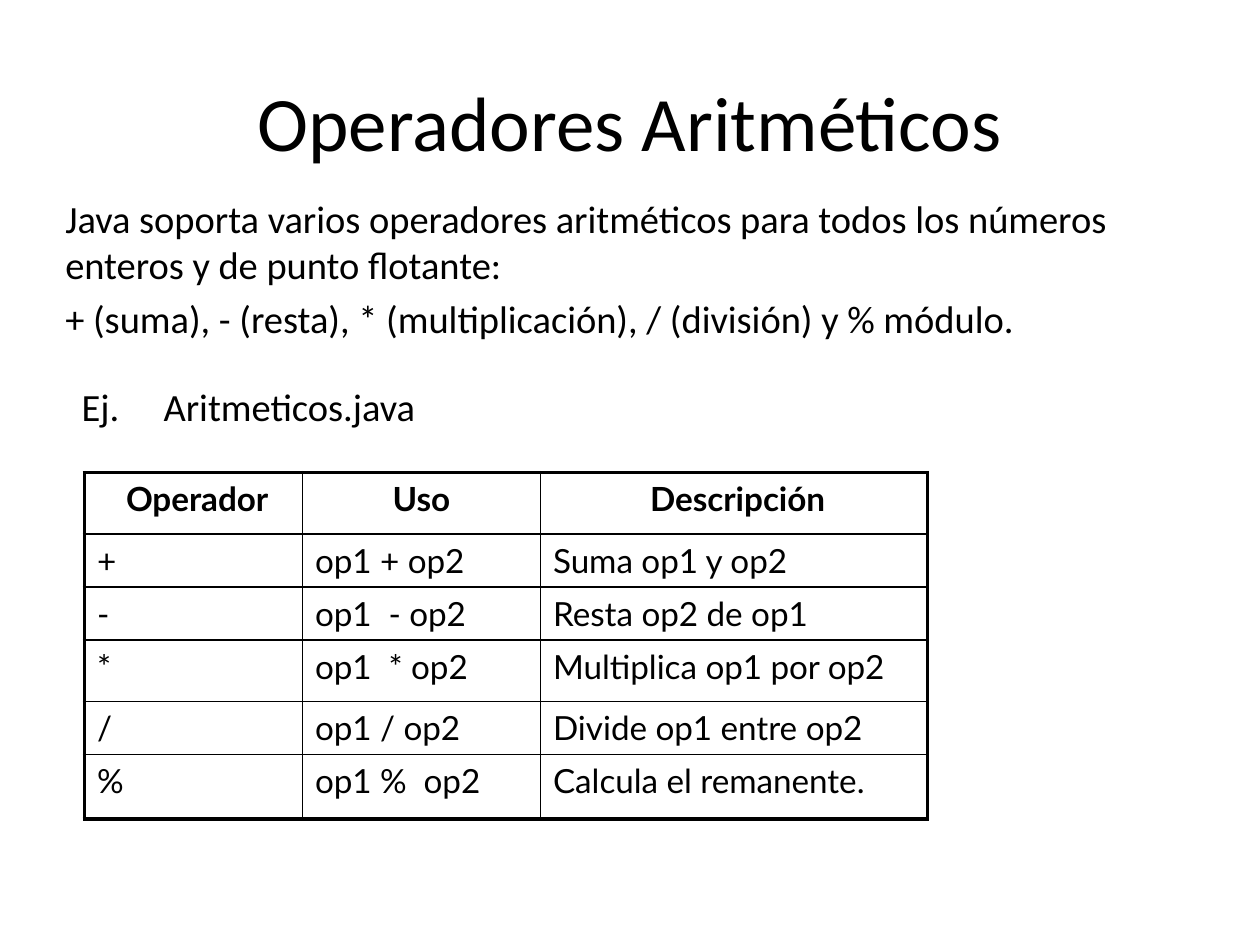
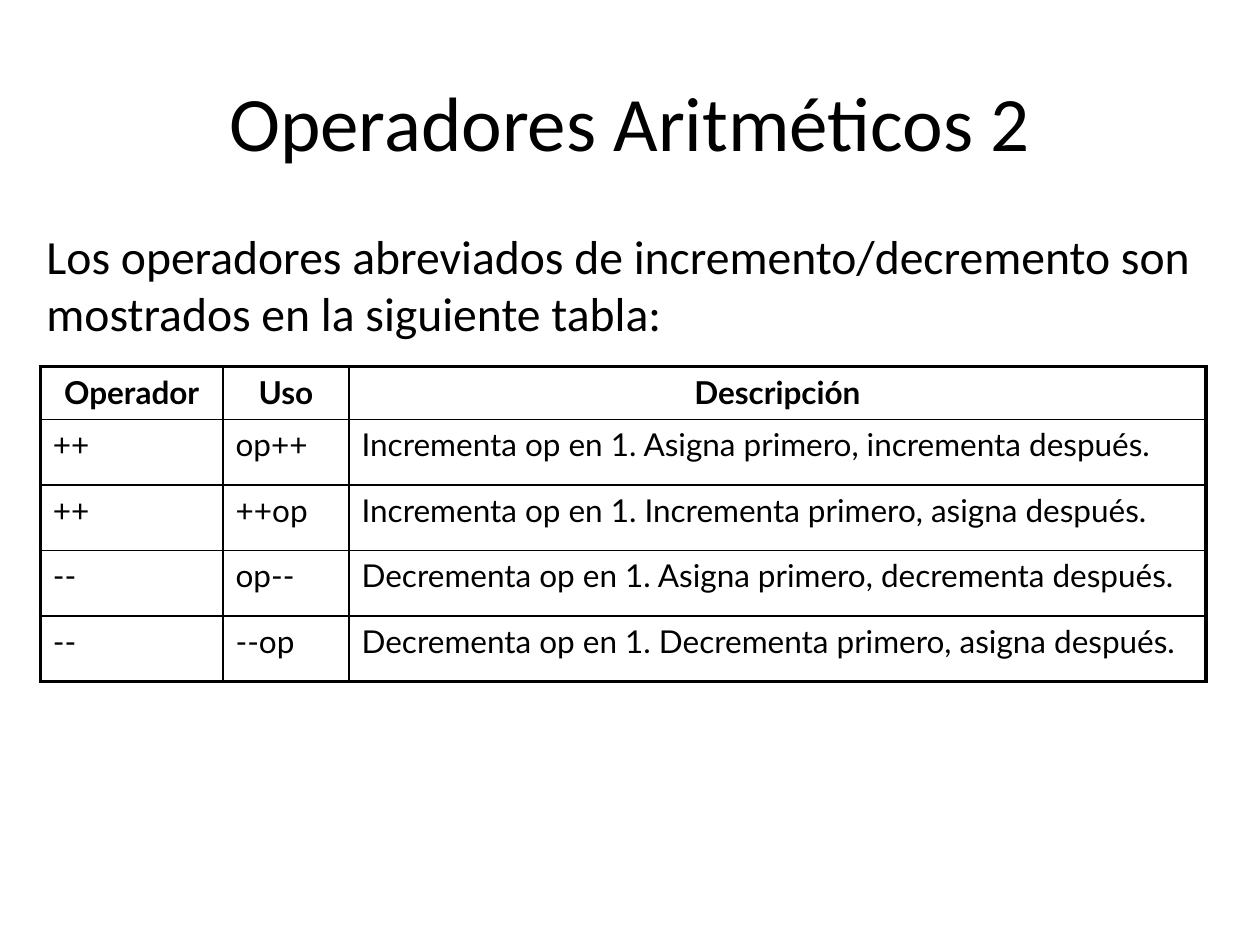
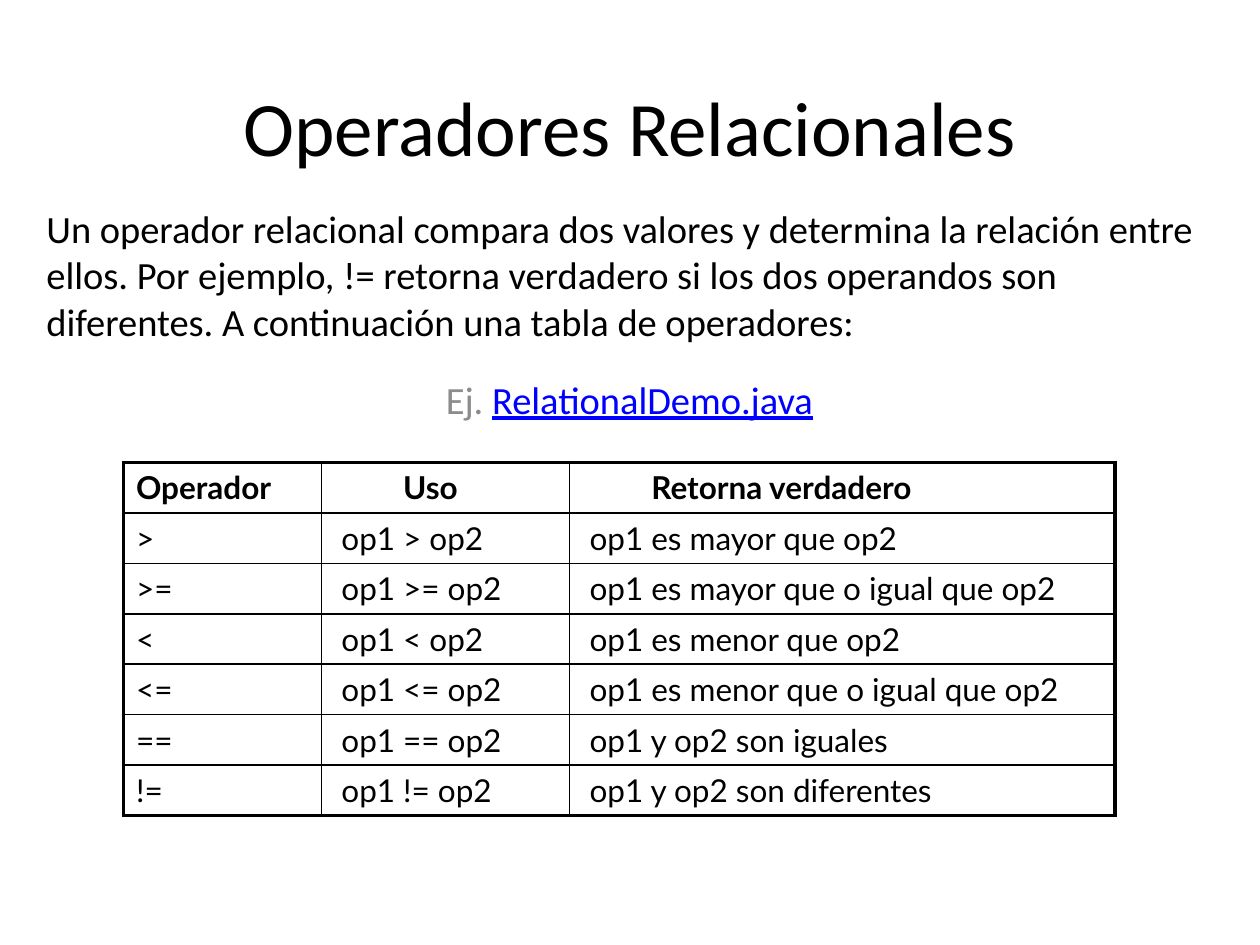
from lxml.etree import SubElement
from pptx import Presentation
from pptx.dml.color import RGBColor
from pptx.enum.text import MSO_ANCHOR, PP_ALIGN
from pptx.oxml.ns import qn
from pptx.util import Inches, Pt

LEFT = PP_ALIGN.LEFT
CENTER = PP_ALIGN.CENTER
TOP = MSO_ANCHOR.TOP
MIDDLE = MSO_ANCHOR.MIDDLE
BLACK, GRAY, BLUE = "000000", "8C8C8C", "0000FF"
THIN, THICK = 1, 2.25


def color(code):
    return RGBColor.from_string(code)


class Deck:
    font = "Calibri"
    grid_font = "Lato"

    def __init__(self):
        self.prs = Presentation()
        self.prs.slide_width = Inches(10)
        self.prs.slide_height = Inches(7.5)
        self.slide = None

    def start(self, title, box=(0.75, 0.5, 8.5, 0.92)):
        self.slide = self.prs.slides.add_slide(self.prs.slide_layouts[6])
        frame = self.frame(box, MIDDLE)
        self.add_runs(frame.paragraphs[0], [title], 44, align=CENTER)

    def frame(self, box, anchor=TOP):
        shape = self.slide.shapes.add_textbox(*map(Inches, box))
        frame = shape.text_frame
        frame.word_wrap = True
        frame.vertical_anchor = anchor
        return frame

    def add_runs(self, para, runs, size, font=None, align=LEFT, bold=False,
                 indent=0, hang=0):
        para.alignment = align
        if indent or hang:
            props = para._p.get_or_add_pPr()
            props.set("marL", str(Inches(indent + hang)))
            props.set("indent", str(-Inches(hang)))
        for item in runs:
            text, code, line = (item, BLACK, False) if isinstance(item, str) else item
            run = para.add_run()
            run.text = text
            run.font.name = font or self.font
            run.font.size = Pt(size)
            run.font.bold = bold
            run.font.underline = line
            run.font.color.rgb = color(code)

    def body(self, box, size, first, *rest):
        frame = self.frame(box)
        self.add_runs(frame.paragraphs[0], [first], size)
        for gap, runs, style in rest:
            para = frame.add_paragraph()
            para.space_before = Pt(gap)
            self.add_runs(para, runs, size, **style)

    def border(self, cell, sides):
        props = cell._tc.get_or_add_tcPr()
        for side, outer in sides.items():
            width = Pt(THICK if outer else THIN)
            line = SubElement(props, qn("a:ln" + side), w=str(width))
            fill = SubElement(line, qn("a:solidFill"))
            SubElement(fill, qn("a:srgbClr"), val=BLACK)

    def table(self, left, top, cols, highs, rows, size, align=CENTER,
              heads=(0, 0, 0), pads=(0, 0, 0)):
        box = map(Inches, (left, top, sum(cols), sum(highs)))
        grid = self.slide.shapes.add_table(len(rows), len(cols), *box).table
        grid.first_row = grid.horz_banding = False
        for col, width in zip(grid.columns, cols):
            col.width = Inches(width)
        for row, high in zip(grid.rows, highs):
            row.height = Inches(high)
        for r, texts in enumerate(rows):
            head = r == 0
            for c, text in enumerate(texts):
                cell = grid.cell(r, c)
                self.border(cell, {"L": c == 0, "R": c == len(cols) - 1,
                                   "T": head, "B": r == len(rows) - 1})
                cell.fill.background()
                self.add_runs(cell.text_frame.paragraphs[0], [text], size,
                              self.grid_font, align if head else LEFT, head,
                              (heads if head else pads)[c])


def main():
    deck = Deck()

    deck.start("Operadores Aritméticos")
    deck.body(
        (0.42, 1.5, 9.22, 2.17), 22,
        "Java soporta varios operadores aritméticos para todos los números enteros y de punto flotante:",
        (4.4, ["+ (suma), - (resta), * (multiplicación), / (división) y % módulo."], {}),
        (24, ["Ej.\tAritmeticos.java"], {"indent": 0.13, "hang": 0.65}))
    deck.table(
        0.67, 3.75, (1.73, 1.89, 3.07), (0.49, 0.42, 0.42, 0.49, 0.42, 0.51),
        [("Operador", "Uso", "Descripción"),
         ("+", "op1 + op2", "Suma op1 y op2"),
         ("-", "op1  - op2", "Resta op2 de op1"),
         ("*", "op1  * op2", "Multiplica op1 por op2"),
         ("/", "op1 / op2", "Divide op1 entre op2"),
         ("%", "op1 %  op2", "Calcula el remanente.")],
        19, heads=(0.06, 0, 0.06))

    deck.start("Operadores Aritméticos 2")
    deck.body(
        (0.27, 1.75, 9.45, 1.13), 27.2,
        "Los operadores abreviados de incremento/decremento son mostrados en la siguiente tabla:")
    deck.table(
        0.32, 2.91, (1.45, 1, 6.8), [0.42] + [0.52] * 4,
        [("Operador", "Uso", "Descripción"),
         ("++", "op++", "Incrementa op en 1. Asigna primero, incrementa después."),
         ("++", "++op", "Incrementa op en 1. Incrementa primero, asigna después."),
         ("--", "op--", "Decrementa op en 1. Asigna primero, decrementa después."),
         ("--", "--op", "Decrementa op en 1. Decrementa primero, asigna después.")],
        18)

    deck.start("Operadores Relacionales", (0, 0.5, 10, 1))
    deck.body(
        (0.27, 1.58, 9.45, 1.93), 22,
        "Un operador relacional compara dos valores y determina la relación entre ellos. "
        "Por ejemplo, != retorna verdadero si los dos operandos son diferentes. "
        "A continuación una tabla de operadores:",
        (18.3, [("Ej. ", GRAY, False), ("RelationalDemo.java", BLUE, True)],
         {"align": CENTER}))
    deck.table(
        0.98, 3.67, (1.57, 1.97, 4.33), [0.4] * 7,
        [("Operador", "Uso", "Retorna verdadero"),
         (">", "op1 > op2", "op1 es mayor que op2"),
         (">=", "op1 >= op2", "op1 es mayor que o igual que op2"),
         ("<", "op1 < op2", "op1 es menor que op2"),
         ("<=", "op1 <= op2", "op1 es menor que o igual que op2"),
         ("==", "op1 == op2", "op1 y op2 son iguales"),
         ("!=", "op1 != op2", "op1 y op2 son diferentes")],
        18, LEFT, (0, 0.55, 0.55), (0, 0.06, 0.06))

    deck.prs.save("out.pptx")


if __name__ == "__main__":
    main()
